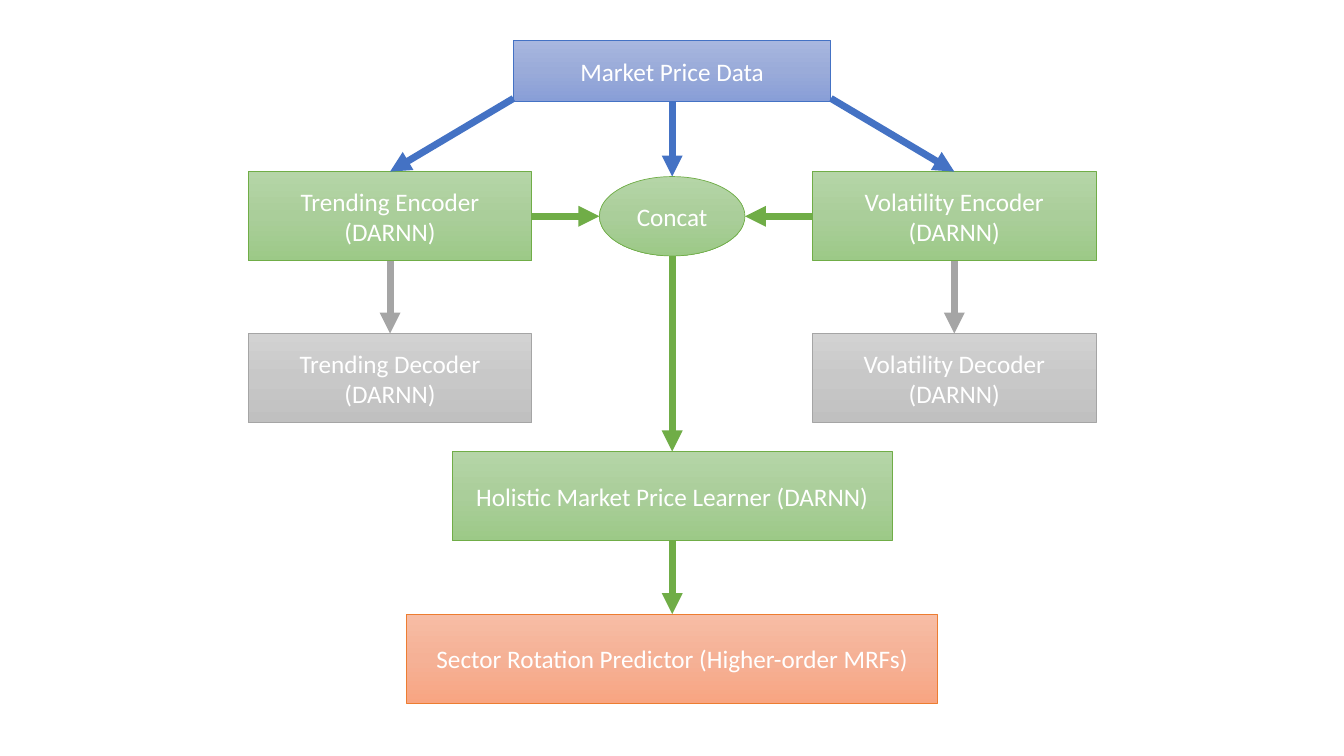
import copy

import pptx
import pptx.dml.color
import pptx.enum.shapes
import pptx.enum.text
import pptx.oxml
import pptx.oxml.ns
import pptx.util

Cm = pptx.util.Cm
Pt = pptx.util.Pt
RGBColor = pptx.dml.color.RGBColor
MSO_SHAPE = pptx.enum.shapes.MSO_SHAPE
qn = pptx.oxml.ns.qn

COLORS = {"blue": "4472C4", "green": "70AD47", "gray": "A5A5A5",
          "orange": "ED7D31", "text": "FFFFFF"}
GRADIENTS = {"blue": ["A8B7DF", "9AABD9", "889ED7"],
             "green": ["B5D5A7", "AACE9A", "9CC987"],
             "gray": ["D2D2D2", "C8C8C8", "C0C0C0"],
             "orange": ["F7BDA5", "F5B196", "F8A582"]}

presentation = pptx.Presentation()
presentation.slide_width = Cm(33.87)
presentation.slide_height = Cm(19.05)
slide = presentation.slides.add_slide(presentation.slide_layouts[6])


def add_node(text, *, x, y, width, height=2.25, color="green", kind=MSO_SHAPE.RECTANGLE):
    """Add a gradient-filled, labelled shape centred on x, y (in cm)."""
    shape = slide.shapes.add_shape(kind, Cm(x - width / 2), Cm(y - height / 2),
                                   Cm(width), Cm(height))
    shape.shadow.inherit = False
    shape.line.color.rgb = RGBColor.from_string(COLORS[color])
    shape.line.width = Pt(0.5)
    shape.fill.gradient()
    stop_list = shape.element.spPr.find(qn("a:gradFill")).find(qn("a:gsLst"))
    stop_list.append(copy.deepcopy(stop_list[-1]))
    for index, stop in enumerate(shape.fill.gradient_stops):
        stop.position = index / 2
        stop.color.rgb = RGBColor.from_string(GRADIENTS[color][index])
    shape.fill.gradient_angle = 270
    frame = shape.text_frame
    frame.word_wrap = True
    frame.vertical_anchor = pptx.enum.text.MSO_ANCHOR.MIDDLE
    paragraph = frame.paragraphs[0]
    paragraph.alignment = pptx.enum.text.PP_ALIGN.CENTER
    run = paragraph.add_run()
    run.text = text
    run.font.name = "Calibri"
    run.font.size = Pt(18)
    run.font.color.rgb = RGBColor.from_string(COLORS["text"])


def add_arrow(start, end, color):
    """Add a thick arrow between two points given in cm."""
    connector = slide.shapes.add_connector(
        pptx.enum.shapes.MSO_CONNECTOR.STRAIGHT,
        Cm(start[0]), Cm(start[1]), Cm(end[0]), Cm(end[1]))
    connector.line.color.rgb = RGBColor.from_string(COLORS[color])
    connector.line.width = Pt(5)
    line = connector.line._get_or_add_ln()
    line.append(pptx.oxml.parse_xml(
        f'<a:tailEnd {pptx.oxml.ns.nsdecls("a")} type="triangle"/>'))
    connector.element.spPr.append(pptx.oxml.parse_xml(
        f'<a:effectLst {pptx.oxml.ns.nsdecls("a")}/>'))


center = 16.94
branch_offset = 7.11
half_height = 2.25 / 2
data_y, data_width, data_height = 1.79, 8, 1.55
encoder_y, decoder_y, learner_y, predictor_y = 5.45, 9.53, 12.5, 16.6
branch_width = 7.14
concat_width, concat_height = 3.67, 2

add_node("Market Price Data", x=center, y=data_y, width=data_width,
         height=data_height, color="blue")
add_node("Concat", x=center, y=encoder_y, width=concat_width,
         height=concat_height, kind=MSO_SHAPE.OVAL)
add_node("Holistic Market Price Learner (DARNN)", x=center, y=learner_y, width=11.08)
add_node("Sector Rotation Predictor (Higher-order MRFs)", x=center, y=predictor_y,
         width=13.38, color="orange")

for side, branch in [(-1, "Trending"), (1, "Volatility")]:
    branch_x = center + side * branch_offset
    add_node(f"{branch} Encoder (DARNN)", x=branch_x, y=encoder_y, width=branch_width)
    add_node(f"{branch} Decoder (DARNN)", x=branch_x, y=decoder_y, width=branch_width,
             color="gray")
    add_arrow((center + side * data_width / 2, 2.48),
              (branch_x, encoder_y - half_height), "blue")
    add_arrow((branch_x, encoder_y + half_height),
              (branch_x, decoder_y - half_height), "gray")
    add_arrow((branch_x - side * branch_width / 2, encoder_y),
              (center + side * concat_width / 2, encoder_y), "green")

for top, bottom, color in [
    (data_y + data_height / 2, encoder_y - concat_height / 2, "blue"),
    (encoder_y + concat_height / 2, learner_y - half_height, "green"),
    (learner_y + half_height, predictor_y - half_height, "green"),
]:
    add_arrow((center, top), (center, bottom), color)

presentation.save("out.pptx")
